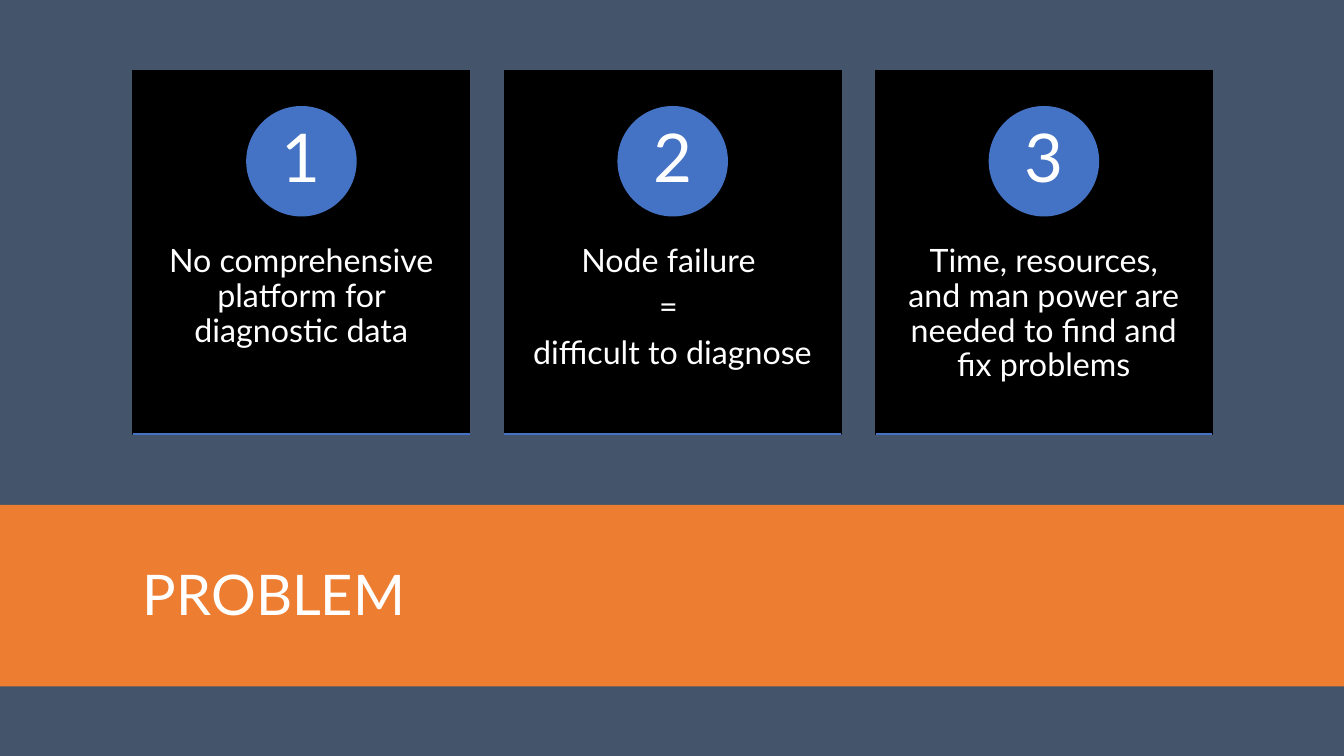
from lxml import etree
from pptx import Presentation
from pptx import util as u
from pptx.dml import color
from pptx.enum import shapes, text
from pptx.oxml import ns

HUES = {"slate": "44546A", "band": "ED7D31", "card": "000000",
        "badge": "4472C4", "text": "FFFFFF"}
FONT = "Lato"
WIDE, HIGH = u.Inches(13.33), u.Inches(7.5)
CARDS = [
    ["No comprehensive platform for diagnostic data"],
    ["Node failure ", "= ", "difficult to diagnose"],
    ["Time, resources, and man power are needed to find and fix problems"],
]


def hue(name):
    """Return the named colour."""
    return color.RGBColor.from_string(HUES[name])


def part(box, left, top, wide, high):
    """Return a box given as shares of another box."""
    x, y, w, h = box
    return [int(n) for n in (x + left * w, y + top * h, wide * w, high * h)]


def plate(slide, kind, box, name, edge=True):
    """Add a flat shape of one colour."""
    shape = slide.shapes.add_shape(kind, *box)
    shape.shadow.inherit = False
    shape.fill.solid()
    shape.fill.fore_color.rgb = hue(name)
    if edge:
        shape.line.color.rgb = hue(name)
        shape.line.width = u.Pt(1)
    else:
        shape.line.fill.background()
    return shape


def write(shape, lines, size, align, anchor, pads, lead=0.9, after=0):
    """Fill a shape with styled paragraphs."""
    frame = shape.text_frame
    frame.text = "\n".join(lines)
    frame.word_wrap = True
    frame.vertical_anchor = anchor
    frame.margin_left = frame.margin_right = u.Inches(pads[0])
    frame.margin_top = frame.margin_bottom = u.Inches(pads[1])
    for para in frame.paragraphs:
        para.alignment = align
        para.line_spacing = lead
        para.space_after = u.Pt(after)
        for run in para.runs:
            run.font.name = FONT
            run.font.size = u.Pt(size)
            run.font.color.rgb = hue("text")


def rule(slide, box):
    """Draw the thin line along the bottom of a box."""
    x, y, w, h = box
    line = slide.shapes.add_connector(
        shapes.MSO_CONNECTOR.STRAIGHT, x, y + h, x + w, y + h)
    line.line.color.rgb = hue("badge")
    line.line.width = u.Pt(1)
    etree.SubElement(line._element.spPr, ns.qn("a:effectLst"))


def card(slide, box, count, lines):
    """Place one numbered problem card."""
    x, y, w, h = box
    kinds = shapes.MSO_SHAPE
    mid, top = text.MSO_ANCHOR.MIDDLE, text.MSO_ANCHOR.TOP
    center = text.PP_ALIGN.CENTER
    plate(slide, kinds.RECTANGLE, box, "card")
    body = slide.shapes.add_textbox(*part(box, 0, 0.38, 1, 0.6))
    write(body, lines, 23, center, top, (0.26, 0.36), after=8)
    side = int(0.3 * h)
    spot = (x + (w - side) // 2, y + h // 10, side, side)
    badge = plate(slide, kinds.OVAL, spot, "badge")
    write(badge, [str(count)], 48, center, mid, (0, 0))
    rule(slide, box)


def deck(slide, box):
    """Spread the cards in equal columns with equal gaps."""
    step = 0.344
    for spot, lines in enumerate(CARDS):
        cell = part(box, spot * step, 0, 1 - 2 * step, 1)
        card(slide, cell, spot + 1, lines)


def banner(slide, box):
    """Place the title band across the slide."""
    plate(slide, shapes.MSO_SHAPE.RECTANGLE, box, "band", edge=False)
    title = slide.shapes.add_textbox(*part(box, 0.099, 0.055, 0.803, 0.92))
    write(title, ["PROBLEM"], 40, text.PP_ALIGN.LEFT,
          text.MSO_ANCHOR.MIDDLE, (0.1, 0.05), lead=0.85)


def main():
    """Build the slide and save it."""
    show = Presentation()
    show.slide_width, show.slide_height = WIDE, HIGH
    slide = show.slides.add_slide(show.slide_layouts[6])
    slide.background.fill.solid()
    slide.background.fill.fore_color.rgb = hue("slate")
    page = (0, 0, WIDE, HIGH)
    banner(slide, part(page, 0, 0.668, 1, 0.24))
    deck(slide, part(page, 0.099, 0.093, 0.803, 0.481))
    show.save("out.pptx")


main()
